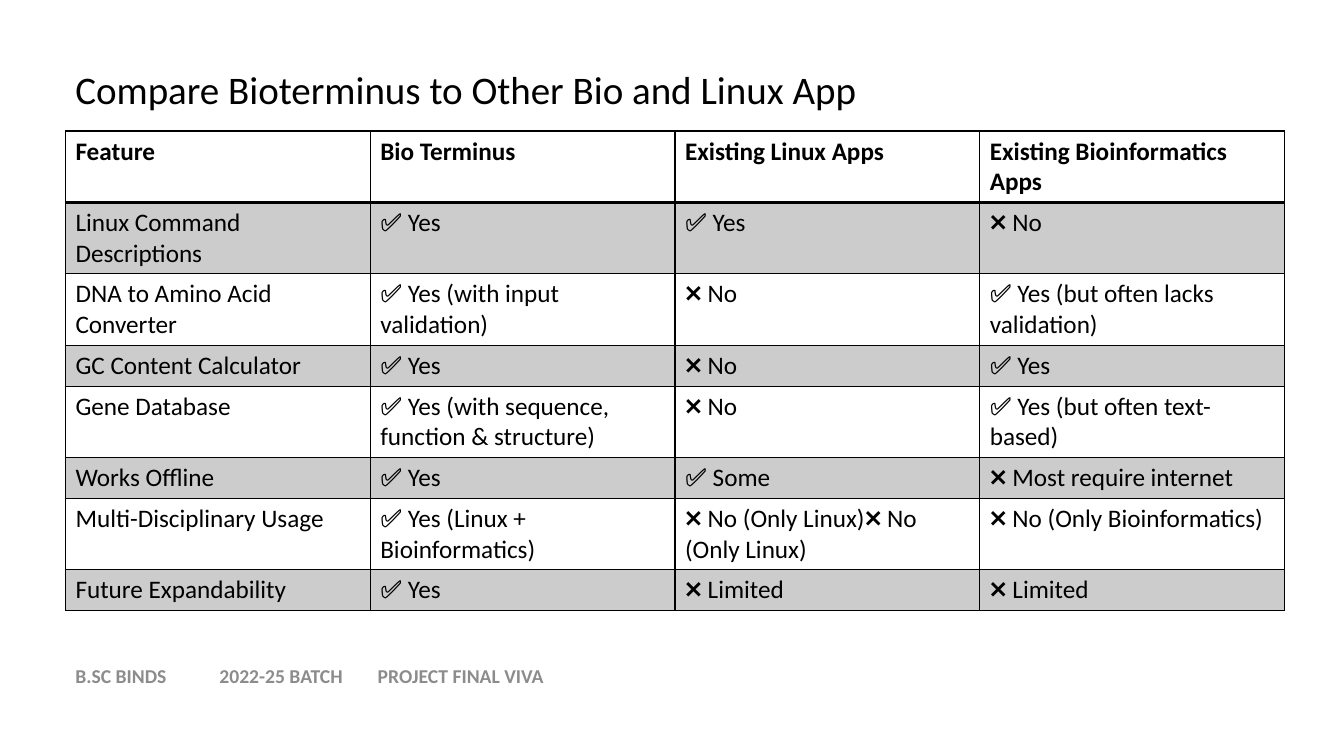
from dataclasses import dataclass

from lxml import etree
from pptx import Presentation
from pptx import util as u
from pptx.dml.color import RGBColor
from pptx.enum import text
from pptx.oxml import ns


@dataclass(frozen=True)
class Theme:
    font: str = "Calibri"
    ink: str = "000000"
    muted: str = "8C8C8C"
    band_opacity: int = 20
    title_size: float = 27.9
    table_size: float = 18
    footer_size: float = 14
    border: float = 1
    header_border: float = 2


FEATURES = [
    ("Feature", "Bio Terminus", "Existing Linux Apps", "Existing Bioinformatics Apps"),
    ("Linux Command Descriptions", "✅ Yes", "✅ Yes", "❌ No"),
    ("DNA to Amino Acid Converter", "✅ Yes (with input validation)", "❌ No",
     "✅ Yes (but often lacks validation)"),
    ("GC Content Calculator", "✅ Yes", "❌ No", "✅ Yes"),
    ("Gene Database", "✅ Yes (with sequence, function & structure)", "❌ No",
     "✅ Yes (but often text-based)"),
    ("Works Offline", "✅ Yes", "✅ Some", "❌ Most require internet"),
    ("Multi-Disciplinary Usage", "✅ Yes (Linux + Bioinformatics)",
     "❌ No (Only Linux)❌ No (Only Linux)", "❌ No (Only Bioinformatics)"),
    ("Future Expandability", "✅ Yes", "❌ Limited", "❌ Limited"),
]
TWO_LINES, ONE_LINE = 1.8, 1.03
ROW_HEIGHTS = [TWO_LINES] * 3 + [ONE_LINE, TWO_LINES] * 2 + [ONE_LINE]
COLUMN_WIDTH = 7.68
LEFT = 1.65


class SlideBuilder:
    """Draws styled elements on the current slide."""

    def __init__(self, slide, theme):
        self.slide = slide
        self.theme = theme

    def format_runs(self, paragraph, size, color, bold=False):
        for run in paragraph.runs:
            run.font.name = self.theme.font
            run.font.size = u.Pt(size)
            run.font.bold = bold
            run.font.color.rgb = RGBColor.from_string(color)

    def add_text(self, content, top, width, height, size, color, bold=False, spacing=1.0, tabs=()):
        shape = self.slide.shapes.add_textbox(u.Cm(LEFT), u.Cm(top), u.Cm(width), u.Cm(height))
        frame = shape.text_frame
        frame.word_wrap = True
        frame.vertical_anchor = text.MSO_ANCHOR.MIDDLE
        frame.text = content
        paragraph = frame.paragraphs[0]
        paragraph.line_spacing = spacing
        if tabs:
            properties = paragraph._p.get_or_add_pPr()
            tab_list = etree.SubElement(properties, ns.qn("a:tabLst"))
            for position in tabs:
                etree.SubElement(tab_list, ns.qn("a:tab"), pos=str(u.Cm(position)), algn="l")
        self.format_runs(paragraph, size, color, bold)

    def add_borders(self, cell, top, bottom):
        properties = cell._tc.get_or_add_tcPr()
        widths = {"lnL": self.theme.border, "lnR": self.theme.border, "lnT": top, "lnB": bottom}
        for side, width in widths.items():
            line = etree.SubElement(properties, ns.qn(f"a:{side}"), w=str(u.Pt(width)))
            fill = etree.SubElement(line, ns.qn("a:solidFill"))
            etree.SubElement(fill, ns.qn("a:srgbClr"), val=self.theme.ink)

    def fill_cell(self, cell, banded):
        if not banded:
            cell.fill.background()
            return
        cell.fill.solid()
        cell.fill.fore_color.rgb = RGBColor.from_string(self.theme.ink)
        color = cell._tc.tcPr.find(f"{ns.qn('a:solidFill')}/{ns.qn('a:srgbClr')}")
        etree.SubElement(color, ns.qn("a:alpha"), val=str(self.theme.band_opacity * 1000))

    def add_table(self, rows, top, column_width, row_heights):
        columns = len(rows[0])
        table = self.slide.shapes.add_table(
            len(rows), columns, u.Cm(LEFT), u.Cm(top),
            u.Cm(column_width * columns), u.Cm(sum(row_heights))).table
        table.horz_banding = False
        for column in table.columns:
            column.width = u.Cm(column_width)
        for index, (values, height) in enumerate(zip(rows, row_heights)):
            table.rows[index].height = u.Cm(height)
            above = self.theme.header_border if index == 1 else self.theme.border
            below = self.theme.header_border if index == 0 else self.theme.border
            for cell, value in zip(table.rows[index].cells, values):
                cell.text_frame.text = value
                self.format_runs(cell.text_frame.paragraphs[0], self.theme.table_size,
                                 self.theme.ink, bold=index == 0)
                self.add_borders(cell, above, below)
                self.fill_cell(cell, banded=index % 2 == 1)


def main():
    presentation = Presentation()
    presentation.slide_width = u.Cm(33.87)
    presentation.slide_height = u.Cm(19.05)
    theme = Theme()
    builder = SlideBuilder(presentation.slides.add_slide(presentation.slide_layouts[6]), theme)
    builder.add_text("Compare Bioterminus to Other Bio and Linux App", 1.38, 29.21, 1.88,
                     theme.title_size, theme.ink, spacing=0.9)
    builder.add_table(FEATURES, 3.3, COLUMN_WIDTH, ROW_HEIGHTS)
    builder.add_text("B.SC BINDS\t2022-25 BATCH\tPROJECT FINAL VIVA", 15.67, 25.12, 2.72,
                     theme.footer_size, theme.muted, bold=True, tabs=(3.63, 7.62))
    presentation.save("out.pptx")


if __name__ == "__main__":
    main()
